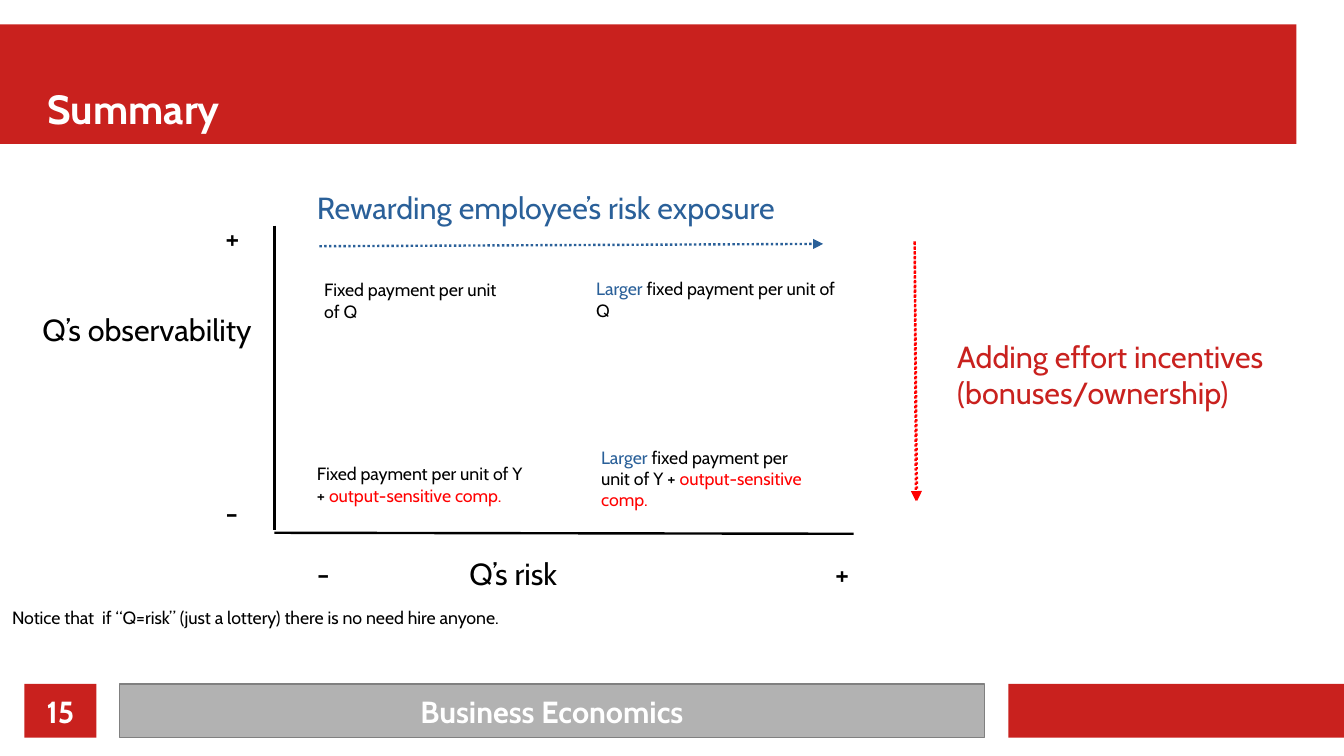
from lxml import etree
from pptx import Presentation
from pptx.dml.color import RGBColor
from pptx.enum import dml, shapes, text
from pptx.oxml import ns
from pptx.util import Pt

FONT = "Cabin"
RED, BLUE, BLACK, WHITE = "C9211E", "2A6099", "000000", "FFFFFF"
HOT, GRAY, EDGE = "FF0000", "B2B2B2", "808080"

# Content: bands as (box, fill, edge, words)
FOOT, DEEP = 403.9, 31.7
BANDS = [
    ((0, 14.4, 765.4, 70.6), RED, None, ""),
    ((595.4, FOOT, 198.04, DEEP), RED, None, ""),
    ((70.6, FOOT, 510.5, DEEP), GRAY, EDGE, "Business Economics"),
    ((14.4, FOOT, 42.5, DEEP), RED, None, "15"),
]
TITLE = ("Summary", (28.1, 21.6, 737.3, 56.9))

# Labels as (box, size, lines), each line a list of (words, colour)
LARGE, BONUS = ("Larger", BLUE), ("output-sensitive comp.", HOT)
LABELS = [
    ((18, 180, 144, 56), 18, [[("Q’s observability", BLACK)]]),
    ((270, 324, 144, 36), 18, [[("Q’s risk", BLACK)]]),
    ((126, 126, 18, 32), 18, [[("+", BLACK)]]),
    ((126, 288, 36, 32), 18, [[("-", BLACK)]]),
    ((180, 324, 36, 32), 18, [[("-", BLACK)]]),
    ((486, 324, 18, 32), 18, [[("+", BLACK)]]),
    ((184.3, 161.3, 121.7, 54), 10.5,
     [[("Fixed payment per unit of Q", BLACK)]]),
    ((180, 270, 138.2, 100), 10.5,
     [[("Fixed payment per unit of Y + ", BLACK), BONUS]]),
    ((344.9, 160.6, 159, 36), 10.5,
     [[LARGE, (" fixed payment per unit of Q", BLACK)]]),
    ((347.8, 260, 138.2, 100), 10.5,
     [[LARGE, (" fixed payment per unit of Y + ", BLACK), BONUS]]),
    ((558, 195.8, 229, 56), 18,
     [[("Adding effort incentives", RED)], [("(bonuses/ownership)", RED)]]),
    ((180, 108, 344.9, 32), 18,
     [[("Rewarding employee’s risk exposure", BLUE)]]),
    ((0, 355, 793.44, 30), 10.5,
     [[("Notice that  if “Q=risk” (just a lottery) "
        "there is no need hire anyone.", BLACK)]]),
]

# Lines as (from, to, colour, arrow)
LINES = [
    ((162, 133.2), (162, 313.2), BLACK, False),
    ((504, 315.2), (162, 314.6), BLACK, False),
    ((540, 143.3), (540.7, 295.9), HOT, True),
    ((540, 142.6), (541.4, 295.9), HOT, True),
    ((188.6, 145.4), (486, 144), BLUE, True),
]


def hue(code):
    return RGBColor.from_string(code)


def pts(nums):
    return [Pt(n) for n in nums]


def style(run, size, code, bold=False):
    run.font.name, run.font.size, run.font.bold = FONT, Pt(size), bold
    run.font.color.rgb = hue(code)


def bare(frame):
    frame.margin_left = frame.margin_right = 0
    frame.margin_top = frame.margin_bottom = 0


def band(box, fill, edge, words):
    rect = slide.shapes.add_shape(shapes.MSO_SHAPE.RECTANGLE, *pts(box))
    rect.shadow.inherit = False
    rect.fill.solid()
    rect.fill.fore_color.rgb = hue(fill)
    if edge:
        rect.line.color.rgb = hue(edge)
        rect.line.width = 0
    else:
        rect.line.fill.background()
    if words:
        frame = rect.text_frame
        bare(frame)
        frame.vertical_anchor = text.MSO_ANCHOR.MIDDLE
        frame.text = words
        para = frame.paragraphs[0]
        para.alignment = text.PP_ALIGN.CENTER
        style(para.runs[0], 18, WHITE, True)


def label(box, size, lines):
    frame = slide.shapes.add_textbox(*pts(box)).text_frame
    frame.word_wrap = True
    for i, line in enumerate(lines):
        para = frame.add_paragraph() if i else frame.paragraphs[0]
        for words, code in line:
            run = para.add_run()
            run.text = words
            style(run, size, code)


def rule(start, end, code, arrow):
    line = slide.shapes.add_connector(
        shapes.MSO_CONNECTOR.STRAIGHT, *pts(start + end))
    line.line.color.rgb = hue(code)
    line.line.width = Pt(1.42)
    if arrow:
        line.line.dash_style = dml.MSO_LINE.ROUND_DOT
        tip = etree.SubElement(line.line._get_or_add_ln(), ns.qn("a:tailEnd"))
        tip.set("type", "triangle")
    etree.SubElement(line._element.spPr, ns.qn("a:effectLst"))


deck = Presentation()
deck.slide_width, deck.slide_height = pts((793.44, 446.4))
slide = deck.slides.add_slide(deck.slide_layouts[5])

# Bands, then the title above them
for item in BANDS:
    band(*item)
title = slide.shapes.title
slide.shapes._spTree.append(title._element)
words, box = TITLE
title.left, title.top, title.width, title.height = pts(box)
frame = title.text_frame
frame.text = words
bare(frame)
frame.auto_size = text.MSO_AUTO_SIZE.NONE
frame.vertical_anchor = text.MSO_ANCHOR.BOTTOM
frame.paragraphs[0].alignment = text.PP_ALIGN.LEFT
style(frame.paragraphs[0].runs[0], 24, WHITE, True)

# Axes, arrows and labels
for item in LINES:
    rule(*item)
for item in LABELS:
    label(*item)

deck.save("out.pptx")
